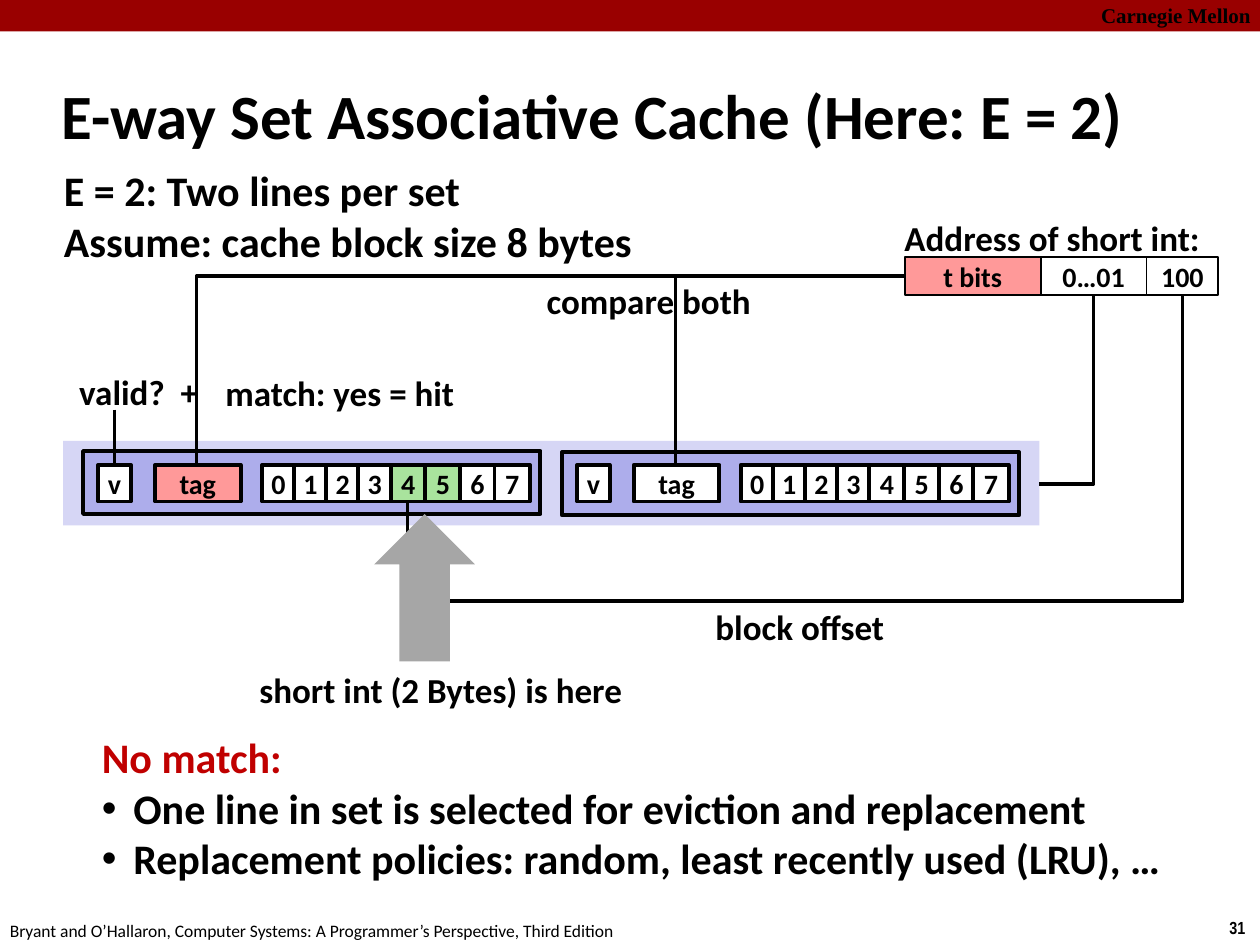
from lxml.etree import SubElement
from pptx import Presentation
from pptx.dml.color import RGBColor
from pptx.enum.shapes import MSO_CONNECTOR, MSO_SHAPE
from pptx.enum.text import MSO_ANCHOR, MSO_AUTO_SIZE, PP_ALIGN
from pptx.oxml.ns import qn
from pptx.util import Inches, Pt

COLORS = {
    "black": "000000", "white": "FFFFFF", "banner": "990000", "tag": "FF9999",
    "set": "D6D6F5", "line": "ADADEB", "hit": "A9E39D", "arrow": "A6A6A6",
    "red": "C00000",
}
RGB = {name: RGBColor.from_string(value) for name, value in COLORS.items()}

prs = Presentation()
prs.slide_width, prs.slide_height = Inches(10), Inches(7.5)
slide = prs.slides.add_slide(prs.slide_layouts[6])
shapes = slide.shapes


def add_text(box, text, size, wrap=False, **font):
    """Fill a text box or shape, one paragraph per line of text."""
    tf = box.text_frame
    tf.word_wrap = wrap
    style = {"name": "Calibri", "size": Pt(size), "bold": True, **font}
    for i, line in enumerate(text.split("\n")):
        p = tf.paragraphs[0] if i == 0 else tf.add_paragraph()
        r = p.add_run()
        r.text = line
        r.font.color.rgb = RGB["black"]
        for key, value in style.items():
            setattr(r.font, key, value)
    return tf


def add_box(x, y, w, h, fill, border=0, text="", kind=MSO_SHAPE.RECTANGLE):
    s = shapes.add_shape(kind, Inches(x), Inches(y), Inches(w), Inches(h))
    s.shadow.inherit = False
    s.fill.solid()
    s.fill.fore_color.rgb = RGB[fill]
    if border:
        s.line.color.rgb = RGB["black"]
        s.line.width = Pt(border)
    else:
        s.line.fill.background()
    if text:
        tf = add_text(s, text, 16)
        tf.vertical_anchor = MSO_ANCHOR.MIDDLE
        tf.paragraphs[0].alignment = PP_ALIGN.CENTER
    return s


add_box(0, 0, 10, 0.25, "banner")

# Address fields
for x, w, fill, text in [
    (7.18, 1.08, "tag", "t bits"),
    (8.26, 0.84, "white", "0…01"),
    (9.1, 0.57, "white", "100"),
]:
    add_box(x, 2.04, w, 0.3, fill, 1, text)

# The selected set with its two lines; the first one matches
add_box(0.5, 3.5, 7.75, 0.67, "set")
valid_boxes = []
for x, y, match in [(0.66, 3.58, True), (4.46, 3.59, False)]:
    add_box(x, y, 3.63, 0.5, "line", 2.25)
    valid_boxes.append(add_box(x + 0.12, 3.69, 0.26, 0.29, "white", 2.25, "v"))
    add_box(x + 0.57, 3.69, 0.68, 0.29, "tag" if match else "white", 2.25, "tag")
    left = x + 1.42
    for byte in range(8):
        w = 0.26 if byte < 4 else 0.28
        fill = "hit" if match and byte in (4, 5) else "white"
        add_box(left, 3.69, w, 0.29, fill, 2.25, str(byte))
        left += w - 0.005

# Connectors: address fields to set, tags and block; "valid?" to the valid bit
connectors = []
for kind, x1, y1, x2, y2 in [
    ("bentConnector2", 8.25, 3.84, 8.68, 2.33),
    ("bentConnector2", 7.18, 2.19, 5.36, 3.69),
    ("bentConnector2", 7.18, 2.19, 1.56, 3.69),
    ("bentConnector3", 5.49, 0.08, 7.13, 6.23),
    ("line", 0.91, 3.25, 0.91, 3.69),
]:
    c = shapes.add_connector(
        MSO_CONNECTOR.STRAIGHT if kind == "line" else MSO_CONNECTOR.ELBOW,
        Inches(x1), Inches(y1), Inches(x2), Inches(y2))
    c.line.color.rgb = RGB["black"]
    c.line.width = Pt(2)
    spPr = c._element.spPr
    SubElement(spPr, qn("a:effectLst"))
    spPr.find(qn("a:prstGeom")).set("prst", kind)
    connectors.append(c)
offset_line, valid_line = connectors[-2:]
valid_line.end_connect(valid_boxes[0], 0)
# The block offset line leaves downwards and comes back up to byte 4
spPr = offset_line._element.spPr
spPr.find(qn("a:xfrm")).set("rot", "5400000")
SubElement(spPr.find(qn("a:prstGeom")).get_or_add_avLst(), qn("a:gd"),
           name="adj1", fmla="val 148400")

add_box(2.97, 4.08, 0.8, 1.17, "arrow", kind=MSO_SHAPE.UP_ARROW)

# Title, labels and footer
frames = {}
for x, y, w, h, size, text, font in [
    (8.64, -0.03, 1.43, 0.3, 12, "Carnegie Mellon", {"name": "Times New Roman"}),
    (9.66, 7.23, 0.34, 0.27, 10, "31", {"name": "Arial Narrow"}),
    (-0.02, 7.25, 5.08, 0.27, 10,
     "Bryant and O’Hallaron, Computer Systems: A Programmer’s Perspective, Third Edition",
     {"bold": False}),
    (0.39, 0.49, 9.02, 0.83, 36, "E-way Set Associative Cache (Here: E = 2)", {}),
    (0.41, 1.26, 4.76, 0.91, 24,
     "E = 2: Two lines per set\nAssume: cache block size 8 bytes", {}),
    (7.08, 1.67, 2.57, 0.44, 20, "Address of short int:", {}),
    (4.24, 2.17, 1.84, 0.44, 20, "compare both", {}),
    (0.53, 2.89, 1.22, 0.44, 20, "valid?  +", {}),
    (1.69, 2.9, 2.03, 0.44, 20, "match: yes = hit", {}),
    (5.58, 4.76, 1.56, 0.44, 20, "block offset", {}),
    (1.96, 5.26, 3.11, 0.44, 20, "short int (2 Bytes) is here", {}),
    (0.71, 5.76, 8.71, 1.32, 24,
     "No match:\nOne line in set is selected for eviction and replacement\n"
     "Replacement policies: random, least recently used (LRU), …", {}),
]:
    box = shapes.add_textbox(Inches(x), Inches(y), Inches(w), Inches(h))
    tf = add_text(box, text, size, wrap=size == 36, **font)
    tf.auto_size = MSO_AUTO_SIZE.NONE if size == 36 else MSO_AUTO_SIZE.SHAPE_TO_FIT_TEXT
    frames[text.split("\n")[0]] = tf

frames["E-way Set Associative Cache (Here: E = 2)"].vertical_anchor = MSO_ANCHOR.MIDDLE
heading, *policies = frames["No match:"].paragraphs
heading.runs[0].font.color.rgb = RGB["red"]
for p in policies:
    pPr = p._p.get_or_add_pPr()
    pPr.set("marL", str(Inches(0.25)))
    pPr.set("indent", str(Inches(-0.25)))
    SubElement(pPr, qn("a:buFont"), typeface="Arial")
    SubElement(pPr, qn("a:buChar"), char="•")

prs.save("out.pptx")
